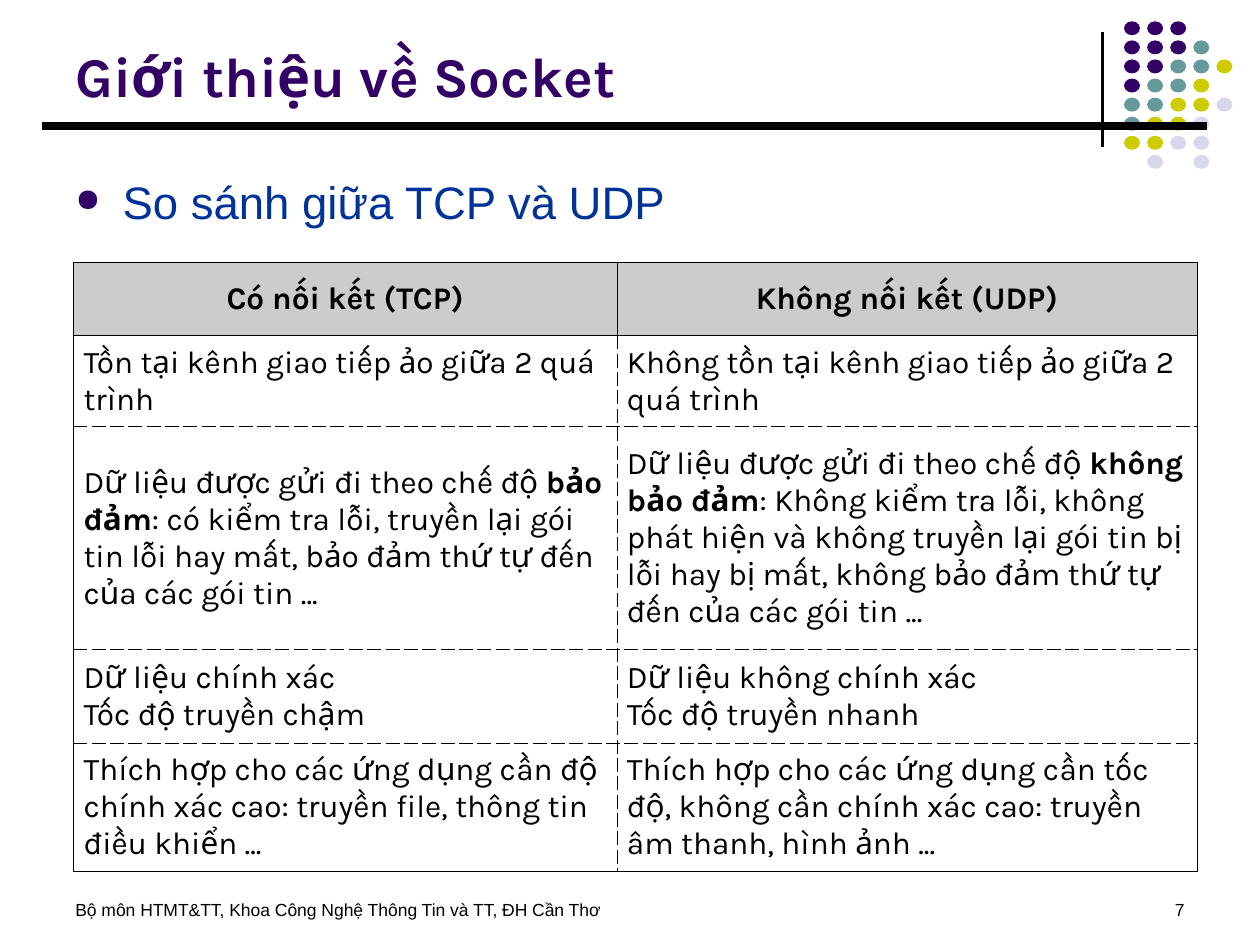
from lxml import etree
from pptx import Presentation
from pptx import util as u
from pptx.dml.color import RGBColor
from pptx.enum import shapes, text
from pptx.oxml import ns

Pt = u.Pt
PURPLE = RGBColor(0x33, 0x00, 0x66)
TEAL = RGBColor(0x66, 0x99, 0x99)
LIME = RGBColor(0xCC, 0xCC, 0x00)
LILAC = RGBColor(0xD8, 0xD8, 0xEC)
BLUE = RGBColor(0x00, 0x33, 0x99)
GREY = RGBColor(0xCC, 0xCC, 0xCC)
BLACK = RGBColor(0x00, 0x00, 0x00)

DOT_COLOURS = {"P": PURPLE, "T": TEAL, "Y": LIME, "L": LILAC}
DOT_ROWS = ["PPP", "PPPT", "PPTTY", "PTTY", "TTYYL", "TYYL", "YYLL", " L L"]

HEADERS = ["Có nối kết (TCP)", "Không nối kết (UDP)"]
COMPARISON = [
    ["Tồn tại kênh giao tiếp ảo giữa 2 quá trình",
     "Không tồn tại kênh giao tiếp ảo giữa 2 quá trình"],
    ["Dữ liệu được gửi đi theo chế độ *bảo đảm*: có kiểm tra lỗi, truyền lại gói "
     "tin lỗi hay mất, bảo đảm thứ tự đến của các gói tin ...",
     "Dữ liệu được gửi đi theo chế độ *không bảo đảm*: Không kiểm tra lỗi, không "
     "phát hiện và không truyền lại gói tin bị lỗi hay bị mất, không bảo đảm thứ tự "
     "đến của các gói tin ..."],
    ["Dữ liệu chính xác\nTốc độ truyền chậm",
     "Dữ liệu không chính xác\nTốc độ truyền nhanh"],
    ["Thích hợp cho các ứng dụng cần độ chính xác cao: truyền file, thông tin "
     "điều khiển ...",
     "Thích hợp cho các ứng dụng cần tốc độ, không cần chính xác cao: truyền "
     "âm thanh, hình ảnh ..."],
]


def add_element(parent, tag, **attributes):
    """Append a DrawingML element and return it."""
    return etree.SubElement(parent, ns.qn(tag), attributes)


def style_font(font, name, size, colour, bold=False):
    """Set the typeface, size, colour and weight of a font."""
    font.name, font.size, font.bold = name, Pt(size), bold
    font.color.rgb = colour


def add_dots(page, left, top):
    """Draw the grid of coloured dots from its top left corner."""
    for row, colours in enumerate(DOT_ROWS):
        for column, key in enumerate(colours):
            if key == " ":
                continue
            dot = page.shapes.add_shape(
                shapes.MSO_SHAPE.OVAL, Pt(left + column * 13.2),
                Pt(top + row * 10.9), Pt(9.1), Pt(8))
            dot.shadow.inherit = False
            dot.fill.solid()
            dot.fill.fore_color.rgb = DOT_COLOURS[key]
            dot.line.fill.background()


def add_rule(page, start, end, width):
    """Draw a straight black line between two points."""
    rule = page.shapes.add_connector(
        shapes.MSO_CONNECTOR.STRAIGHT, *(Pt(value) for value in start + end))
    rule.line.color.rgb = BLACK
    rule.line.width = Pt(width)
    add_element(rule._element.spPr, "a:effectLst")


def add_text(page, box, words, name, size, colour, bold=False,
             align=text.PP_ALIGN.LEFT, anchor=text.MSO_ANCHOR.TOP):
    """Place one line of text in a box and return its paragraph."""
    frame = page.shapes.add_textbox(*(Pt(value) for value in box)).text_frame
    frame.word_wrap = True
    frame.vertical_anchor = anchor
    para = frame.paragraphs[0]
    para.text = words
    para.alignment = align
    style_font(para.font, name, size, colour, bold)
    return para


def add_bullet(para, indent):
    """Give a paragraph a hanging purple round bullet."""
    para.space_before = Pt(6.5)
    properties = para._p.get_or_add_pPr()
    properties.set("marL", str(Pt(indent)))
    properties.set("indent", str(-Pt(indent)))
    colour = add_element(properties, "a:buClr")
    add_element(colour, "a:srgbClr", val=str(PURPLE))
    add_element(properties, "a:buSzPct", val="70000")
    add_element(properties, "a:buChar", char="●")
    properties.append(properties.find(ns.qn("a:defRPr")))


def add_borders(cell, dashes):
    """Line the four sides of a cell, dashed where asked."""
    for side, dashed in dashes.items():
        line = add_element(cell._tc.get_or_add_tcPr(), f"a:ln{side}", w=str(Pt(0.45)))
        add_element(add_element(line, "a:solidFill"), "a:srgbClr", val=str(BLACK))
        add_element(line, "a:prstDash", val="dash" if dashed else "solid")


def fill_cell(cell, words, header):
    """Write a cell, with bold words between asterisks."""
    cell.vertical_anchor = text.MSO_ANCHOR.MIDDLE
    cell.margin_left = cell.margin_right = Pt(5.8)
    cell.margin_top = cell.margin_bottom = Pt(3.6)
    for index, line in enumerate(words.split("\n")):
        frame = cell.text_frame
        para = frame.add_paragraph() if index else frame.paragraphs[0]
        para.alignment = text.PP_ALIGN.CENTER if header else text.PP_ALIGN.LEFT
        style_font(para.font, "Karla", 18, BLACK, header)
        for part, wording in enumerate(line.split("*")):
            span = para.add_run()
            span.text = wording
            style_font(span.font, "Karla", 18, BLACK, header or part % 2 == 1)
    if header:
        cell.fill.solid()
        cell.fill.fore_color.rgb = GREY
    else:
        cell.fill.background()


def add_comparison(page, box, widths, heights):
    """Build the table that compares TCP with UDP."""
    rows = [HEADERS] + COMPARISON
    table = page.shapes.add_table(
        len(rows), len(HEADERS), *(Pt(value) for value in box)).table
    table.horz_banding = False
    for column, width in zip(table.columns, widths):
        column.width = Pt(width)
    for number, (row, height) in enumerate(zip(table.rows, heights)):
        row.height = Pt(height)
        body = number > 0
        for side, cell in enumerate(row.cells):
            add_borders(cell, {"L": body and side == 1, "R": body and side == 0,
                               "T": number > 1, "B": body and number < len(rows) - 1})
            fill_cell(cell, rows[number][side], not body)


def build_slide(page):
    """Place every region of the slide."""
    add_dots(page, 642.3, 12.2)
    add_rule(page, (24, 72), (690, 72), 4.5)
    add_rule(page, (630, 18), (630, 84), 1.25)
    add_text(page, (36, 9.4, 594, 56), "Giới thiệu về Socket", "Karla", 32, PURPLE,
             bold=True, anchor=text.MSO_ANCHOR.BOTTOM)
    topic = add_text(page, (36, 96, 648, 48), "So sánh giữa TCP và UDP",
                     "Arial", 26, BLUE)
    add_bullet(topic, 27)
    add_text(page, (516, 510, 168, 24), "7", "Arial", 10, BLACK,
             align=text.PP_ALIGN.RIGHT)
    add_text(page, (36, 510, 438, 24),
             "Bộ môn HTMT&TT, Khoa Công Nghệ Thông Tin và TT, ĐH Cần Thơ",
             "Arial", 10, BLACK)
    add_comparison(page, (42, 150, 642, 348), (310.5, 331.5),
                   (41.8, 52, 127.5, 53.3, 73.4))


deck = Presentation()
deck.slide_width, deck.slide_height = Pt(720), Pt(540)
build_slide(deck.slides.add_slide(deck.slide_layouts[6]))
deck.save("out.pptx")
